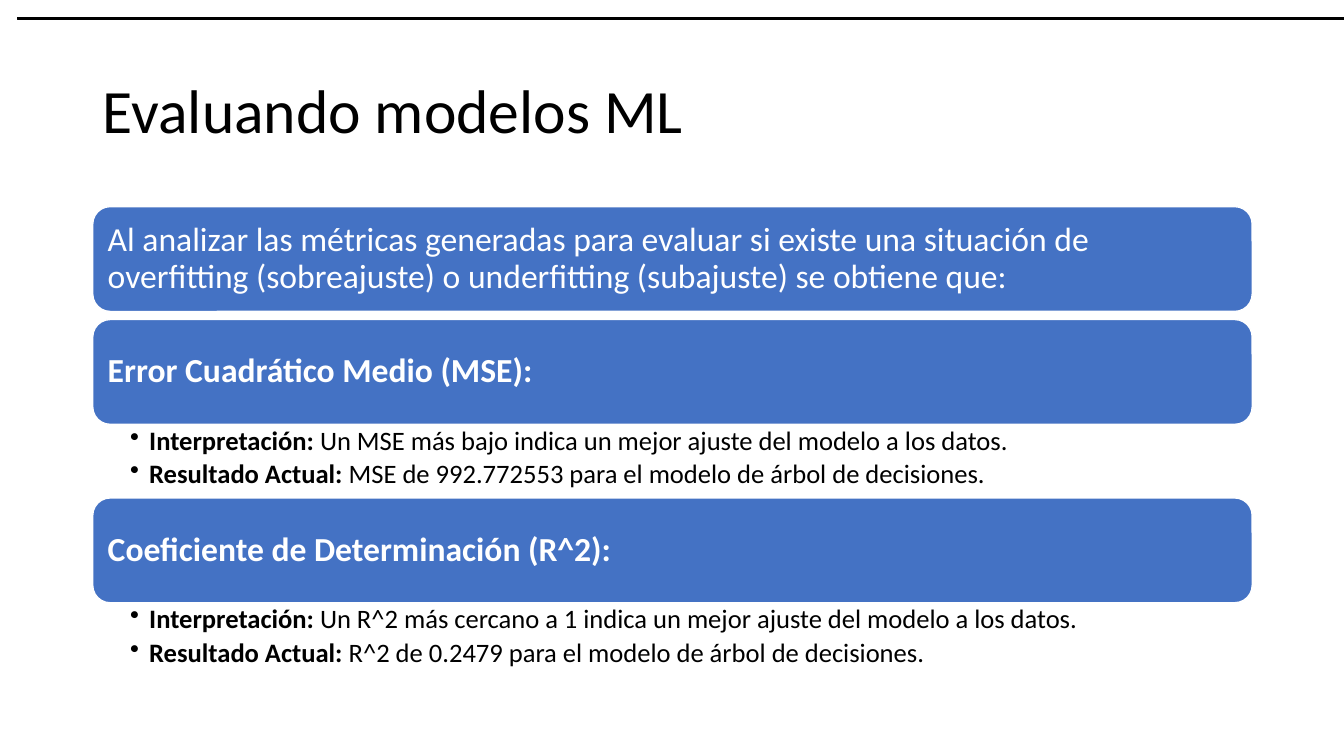
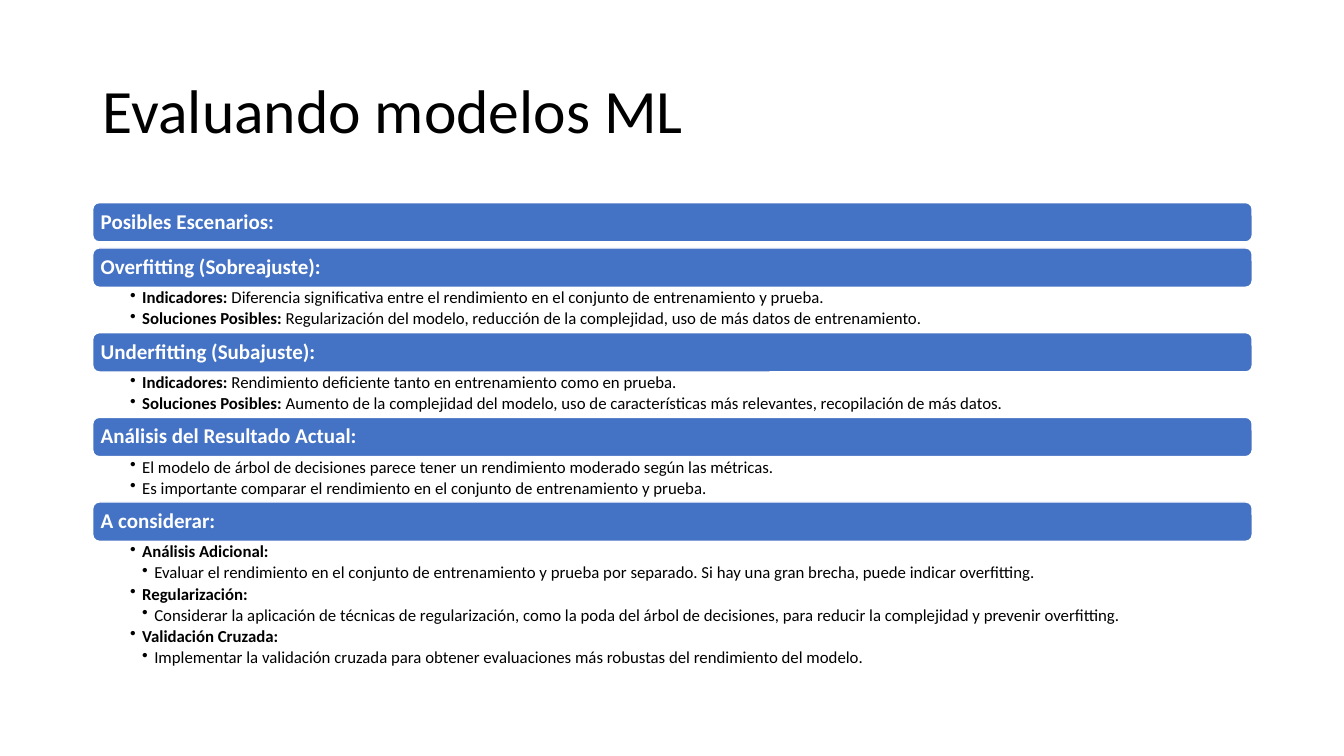
from dataclasses import dataclass

from lxml.etree import SubElement
from pptx import Presentation
from pptx.dml.color import RGBColor as RGB
from pptx.enum.shapes import MSO_SHAPE as Shape
from pptx.enum.text import MSO_ANCHOR as Anchor, MSO_AUTO_SIZE as Fit, PP_ALIGN as Align
from pptx.oxml.ns import qn
from pptx.util import Inches, Pt


@dataclass(frozen=True)
class Theme:
    font: str = "Calibri"
    black: RGB = RGB(0, 0, 0)
    white: RGB = RGB(255, 255, 255)
    blue: RGB = RGB(0x44, 0x72, 0xC4)
    title: int = 44
    leading: float = 0.9
    after: float = 0.18
    left: float = 0.92
    width: float = 11.5


@dataclass(frozen=True)
class Scale:
    head: int
    body: int
    bar: float
    gap: float
    inset: float
    hang: float
    right: float
    top: float


LARGE = Scale(head=24, body=19, bar=1.04, gap=0.08, inset=0.1, hang=0.19, right=0.19, top=0.03)
SMALL = Scale(head=15, body=12, bar=0.39, gap=0.06, inset=0.06, hang=0.12, right=0.12, top=0.02)


class Deck:
    def __init__(self, theme):
        self.theme = theme
        self.file = Presentation()
        self.file.slide_width = Inches(13.33)
        self.file.slide_height = Inches(7.5)
        self.slide = None

    def style(self, para, size, color):
        para.alignment = Align.LEFT
        para.line_spacing = self.theme.leading
        for run in para.runs:
            run.font.name = self.theme.font
            run.font.size = Pt(size)
            run.font.color.rgb = color

    def margins(self, frame, left, top, right, bottom):
        frame.word_wrap = True
        frame.margin_left, frame.margin_top = Inches(left), Inches(top)
        frame.margin_right, frame.margin_bottom = Inches(right), Inches(bottom)

    def page(self, text):
        self.slide = self.file.slides.add_slide(self.file.slide_layouts[5])
        title = self.slide.shapes.title
        title.left, title.top = Inches(self.theme.left), Inches(0.4)
        title.width, title.height = Inches(self.theme.width), Inches(1.45)
        frame = title.text_frame
        frame.text = text
        frame.auto_size = Fit.NONE
        frame.vertical_anchor = Anchor.MIDDLE
        self.style(frame.paragraphs[0], self.theme.title, self.theme.black)

    def box(self, kind, left, top, width, height, fill, line, weight):
        shape = self.slide.shapes.add_shape(
            kind, Inches(left), Inches(top), Inches(width), Inches(height))
        shape.shadow.inherit = False
        shape.fill.solid()
        shape.fill.fore_color.rgb = fill
        shape.line.color.rgb = line
        shape.line.width = Pt(weight)
        return shape

    def rule(self):
        black = self.theme.black
        self.box(Shape.RECTANGLE, 0.17, 0.17, 13.33, 0.02, black, black, 0.75)

    def bar(self, text, top, scale, bold):
        theme = self.theme
        shape = self.box(Shape.ROUNDED_RECTANGLE, theme.left, top, theme.width,
                         scale.bar, theme.blue, theme.white, 1)
        frame = shape.text_frame
        frame.text = text
        self.margins(frame, *[scale.inset] * 4)
        frame.vertical_anchor = Anchor.MIDDLE
        para = frame.paragraphs[0]
        self.style(para, scale.head, theme.white)
        para.runs[0].font.bold = bold

    def bullets(self, items, top, height, scale):
        theme = self.theme
        area = self.slide.shapes.add_textbox(
            Inches(theme.left), Inches(top), Inches(theme.width), Inches(height))
        frame = area.text_frame
        self.margins(frame, 0.37, scale.top, scale.right, scale.top)
        for index, (level, label, text) in enumerate(items):
            para = frame.add_paragraph() if index else frame.paragraphs[0]
            para.level = level
            for part, bold in ((label, True), (text, False)):
                if part:
                    run = para.add_run()
                    run.text = part
                    run.font.bold = bold
            self.style(para, scale.body, theme.black)
            para.space_after = Pt(scale.body * theme.after)
            props = para._p.get_or_add_pPr()
            props.set("marL", str(Inches(scale.hang * level)))
            props.set("indent", str(-Inches(scale.hang)))
            SubElement(props, qn("a:buChar")).set("char", "•")

    def stack(self, top, scale, parts):
        for head, bold, height, items in parts:
            self.bar(head, top, scale, bold)
            top += scale.bar
            if items:
                self.bullets(items, top, height, scale)
            top += height if items else scale.gap


METRICS = [
    ("Al analizar las métricas generadas para evaluar si existe una situación de "
     "overfitting (sobreajuste) o underfitting (subajuste) se obtiene que:", False, 0, []),
    ("Error Cuadrático Medio (MSE):", True, 0.73, [
        (1, "Interpretación:", " Un MSE más bajo indica un mejor ajuste del modelo a los datos."),
        (1, "Resultado Actual:", " MSE de 992.772553 para el modelo de árbol de decisiones."),
    ]),
    ("Coeficiente de Determinación (R^2):", True, 0.73, [
        (1, "Interpretación:",
         " Un R^2 más cercano a 1 indica un mejor ajuste del modelo a los datos."),
        (1, "Resultado Actual:", " R^2 de 0.2479 para el modelo de árbol de decisiones."),
    ]),
]

CASES = [
    ("Posibles Escenarios:", True, 0, []),
    ("Overfitting (Sobreajuste):", True, 0.45, [
        (1, "Indicadores:", " Diferencia significativa entre el rendimiento en el conjunto "
         "de entrenamiento y prueba."),
        (1, "Soluciones Posibles:", " Regularización del modelo, reducción de la complejidad, "
         "uso de más datos de entrenamiento."),
    ]),
    ("Underfitting (Subajuste):", True, 0.45, [
        (1, "Indicadores:", " Rendimiento deficiente tanto en entrenamiento como en prueba."),
        (1, "Soluciones Posibles:", " Aumento de la complejidad del modelo, uso de "
         "características más relevantes, recopilación de más datos."),
    ]),
    ("Análisis del Resultado Actual:", True, 0.45, [
        (1, "", "El modelo de árbol de decisiones parece tener un rendimiento moderado "
         "según las métricas."),
        (1, "", "Es importante comparar el rendimiento en el conjunto de entrenamiento y prueba."),
    ]),
    ("A considerar:", True, 1.36, [
        (1, "Análisis Adicional:", ""),
        (2, "", "Evaluar el rendimiento en el conjunto de entrenamiento y prueba por separado. "
         "Si hay una gran brecha, puede indicar overfitting."),
        (1, "Regularización:", ""),
        (2, "", "Considerar la aplicación de técnicas de regularización, como la poda del árbol "
         "de decisiones, para reducir la complejidad y prevenir overfitting."),
        (1, "Validación Cruzada:", ""),
        (2, "", "Implementar la validación cruzada para obtener evaluaciones más robustas "
         "del rendimiento del modelo."),
    ]),
]


def main():
    deck = Deck(Theme())
    title = "Evaluando modelos ML"
    deck.page(title)
    deck.stack(2.05, LARGE, METRICS)
    deck.rule()
    deck.page(title)
    deck.stack(2.01, SMALL, CASES)
    deck.file.save("out.pptx")


if __name__ == "__main__":
    main()
